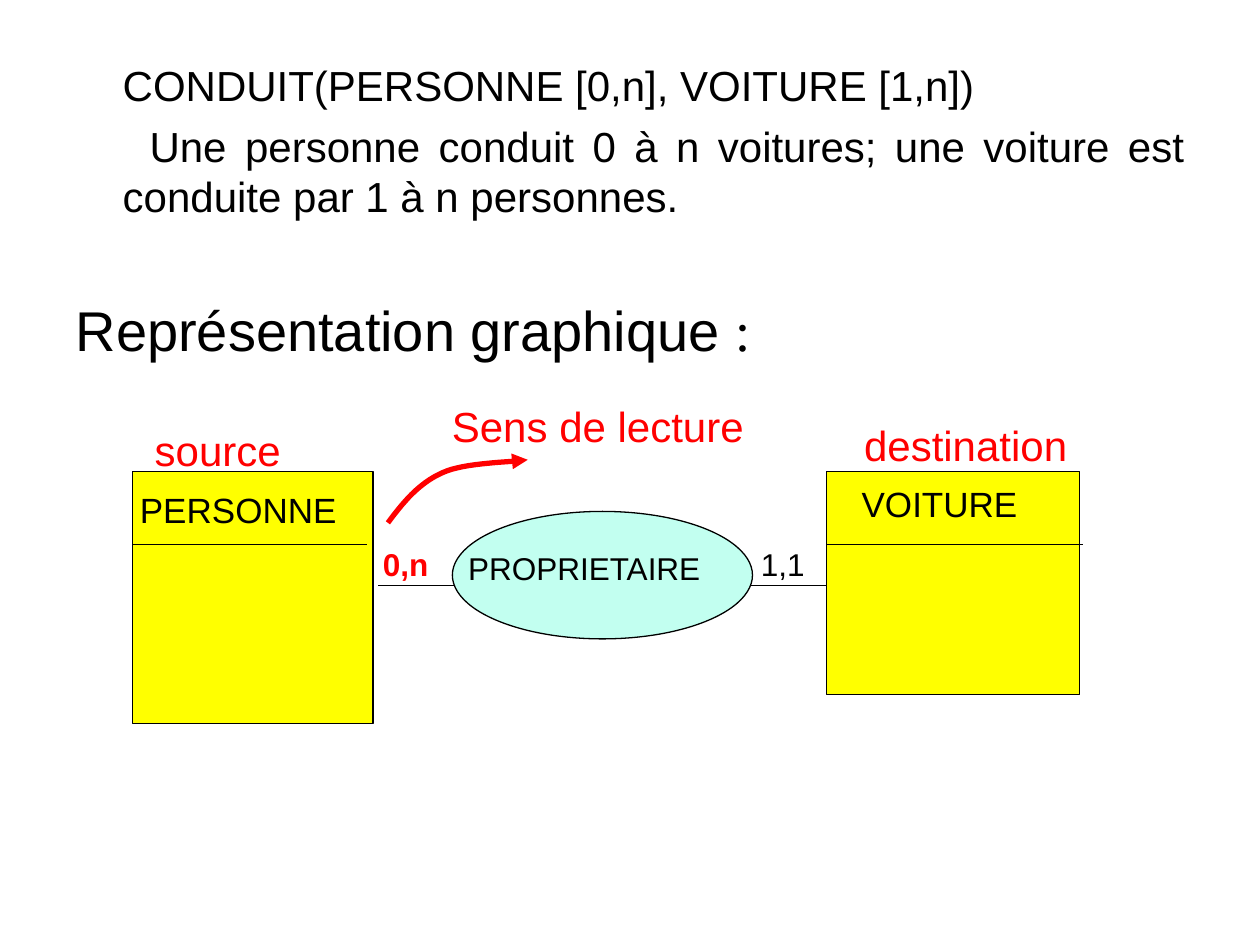
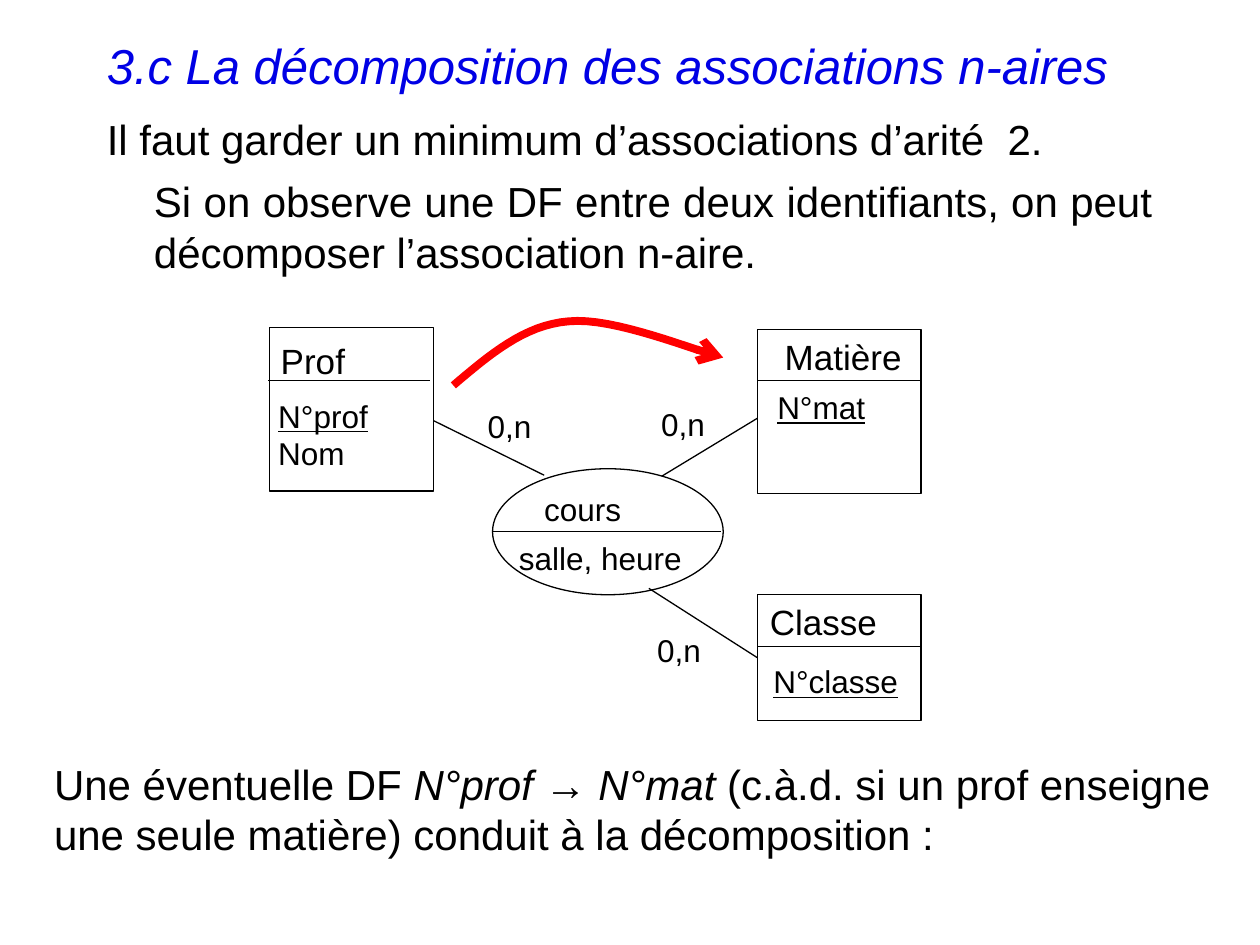
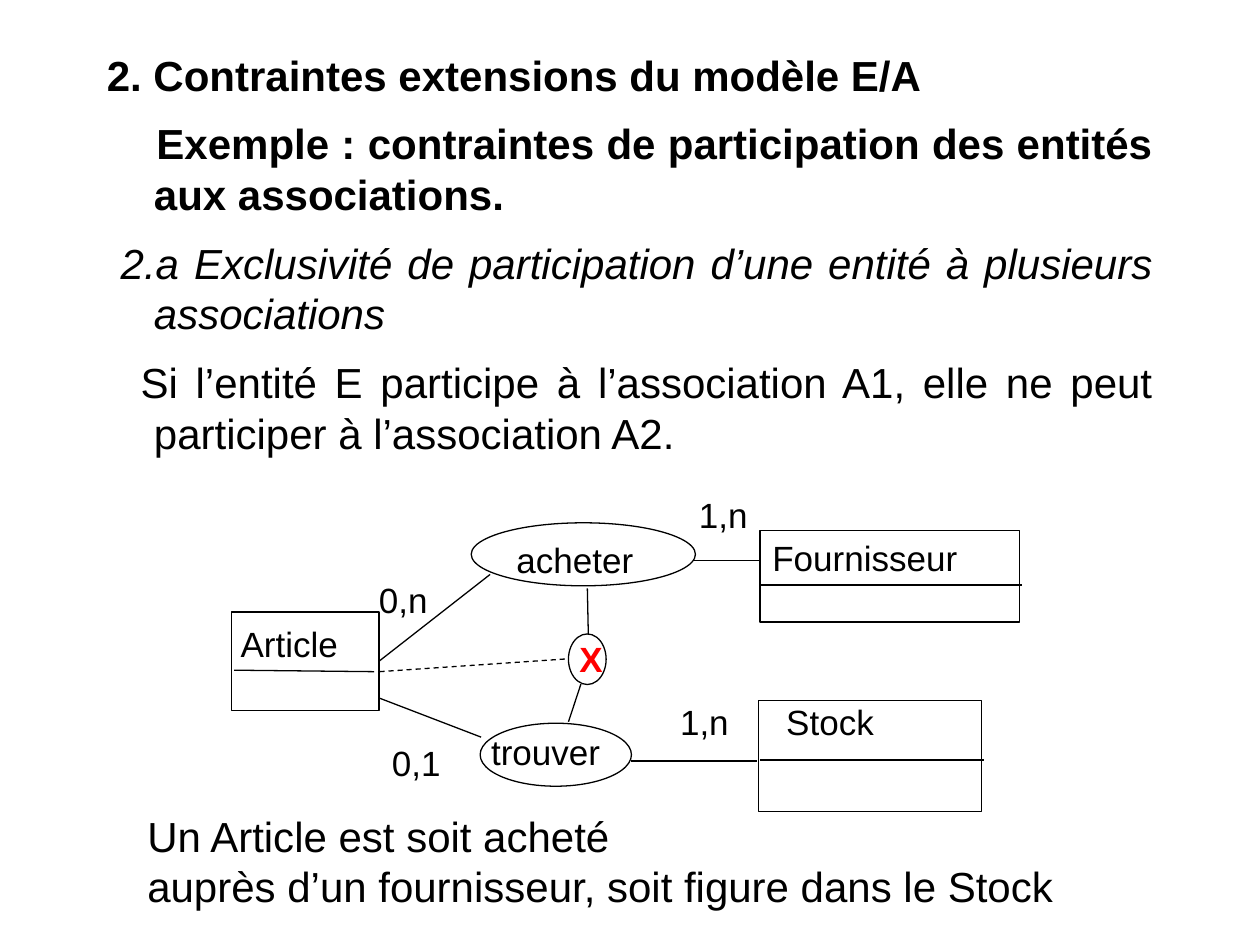
from lxml.etree import SubElement
from pptx import Presentation
from pptx.dml.color import RGBColor
from pptx.enum.dml import MSO_LINE_DASH_STYLE as Dash
from pptx.enum.shapes import MSO_CONNECTOR, MSO_SHAPE
from pptx.enum.text import MSO_ANCHOR as Anchor, MSO_AUTO_SIZE as AutoSize, PP_ALIGN as Align
from pptx.oxml.ns import qn
from pptx.util import Cm, Pt

BLACK, WHITE, RED, BLUE = "000000", "FFFFFF", "FF0000", "0000E5"
YELLOW, MINT = "FFFF00", "C2FFF0"
HANGING = 0.95
LABEL_HEIGHTS = {18: 1.02, 20: 1.12, 24: 1.27}
LABEL_SLACK = 0.25  # keeps each label on one line
CURVE_STEPS = 16


def color(value):
    return RGBColor.from_string(value)


def bezier(start, control_1, control_2, end):
    """Points along a cubic curve, without its start."""
    for step in range(1, CURVE_STEPS + 1):
        t = step / CURVE_STEPS
        weights = ((1 - t) ** 3, 3 * t * (1 - t) ** 2, 3 * t * t * (1 - t), t ** 3)
        corners = (start, control_1, control_2, end)
        yield tuple(Cm(sum(w * point[axis] for w, point in zip(weights, corners)))
                    for axis in (0, 1))


class Deck:
    """The presentation, its style and the slide being filled."""

    font_name = "Arial"
    line_width = 0.75

    def __init__(self):
        self.presentation = Presentation()
        self.presentation.slide_width = Cm(25.4)
        self.presentation.slide_height = Cm(19.05)
        self.slide = None

    def new_slide(self):
        layout = self.presentation.slide_layouts[1]
        self.slide = self.presentation.slides.add_slide(layout)

    def format_paragraph(self, paragraph, size, text_color=BLACK, bold=False,
                         italic=False, underline=False):
        font = paragraph.font
        font.name, font.size = self.font_name, Pt(size)
        font.bold, font.italic, font.underline = bold, italic, underline
        font.color.rgb = color(text_color)

    def place(self, placeholder, left, top, width, height):
        placeholder.left, placeholder.top = Cm(left), Cm(top)
        placeholder.width, placeholder.height = Cm(width), Cm(height)
        frame = placeholder.text_frame
        frame.auto_size = AutoSize.NONE
        frame.vertical_anchor = Anchor.TOP
        return frame

    def title(self, text, left, top, width, size, **style):
        frame = self.place(self.slide.shapes.title, left, top, width, 1.5)
        paragraph = frame.paragraphs[0]
        paragraph.text = text
        paragraph.alignment = Align.LEFT
        self.format_paragraph(paragraph, size, **style)
        return paragraph

    def body(self, left, top, width, height, items, space):
        """Each item is its text, its first-line indent and its font style."""
        frame = self.place(self.slide.placeholders[1], left, top, width, height)
        for index, (text, indent, style) in enumerate(items):
            paragraph = frame.add_paragraph() if index else frame.paragraphs[0]
            paragraph.text = text
            properties = paragraph._p.get_or_add_pPr()
            properties.set("marL", str(Cm(HANGING)))
            properties.set("indent", str(Cm(indent)))
            SubElement(properties, qn("a:buNone"))
            paragraph.alignment = Align.JUSTIFY
            paragraph.space_before = Pt(space if index else 0)
            self.format_paragraph(paragraph, 24, **style)

    def text(self, lines, left, top, width, height, size, **style):
        box = self.slide.shapes.add_textbox(Cm(left), Cm(top), Cm(width), Cm(height))
        frame = box.text_frame
        frame.word_wrap = True
        frame.auto_size = AutoSize.NONE
        for index, line in enumerate(lines):
            paragraph = frame.add_paragraph() if index else frame.paragraphs[0]
            paragraph.text = line
            self.format_paragraph(paragraph, size, **style)
        return frame

    def label(self, text, left, top, width, size=20, **style):
        self.text([text], left, top, width + LABEL_SLACK, LABEL_HEIGHTS[size], size, **style)

    def shape(self, kind, left, top, width, height, fill=WHITE, text=""):
        shape = self.slide.shapes.add_shape(kind, Cm(left), Cm(top), Cm(width), Cm(height))
        shape.shadow.inherit = False
        shape.fill.solid()
        shape.fill.fore_color.rgb = color(fill)
        self.stroke(shape.line)
        if text:
            frame = shape.text_frame
            frame.vertical_anchor = Anchor.TOP
            paragraph = frame.paragraphs[0]
            paragraph.text = text
            paragraph.alignment = Align.LEFT
            self.format_paragraph(paragraph, 20)
        return shape

    def entity(self, *box, **options):
        return self.shape(MSO_SHAPE.RECTANGLE, *box, **options)

    def association(self, *box, **options):
        return self.shape(MSO_SHAPE.OVAL, *box, **options)

    def stroke(self, line, line_color=BLACK, width=line_width):
        line.color.rgb = color(line_color)
        line.width = Pt(width)

    def line(self, x1, y1, x2, y2, dashed=False):
        connector = self.slide.shapes.add_connector(
            MSO_CONNECTOR.STRAIGHT, Cm(x1), Cm(y1), Cm(x2), Cm(y2))
        self.stroke(connector.line)
        if dashed:
            connector.line.dash_style = Dash.DASH
        SubElement(connector._element.spPr, qn("a:effectLst"))
        return connector

    def curved_arrow(self, points, width, head):
        """Red arrow through two cubic curves, given by seven points."""
        start_x, start_y = points[0]
        builder = self.slide.shapes.build_freeform(Cm(start_x), Cm(start_y))
        for first in (0, 3):
            builder.add_line_segments(bezier(*points[first:first + 4]), close=False)
        arrow = builder.convert_to_shape()
        arrow.shadow.inherit = False
        arrow.fill.background()
        self.stroke(arrow.line, RED, width)
        SubElement(arrow.line._get_or_add_ln(), qn("a:tailEnd"), type=head)


def graphic_representation(deck):
    deck.new_slide()
    deck.body(1.27, 1.07, 22.86, 4, [
        ("CONDUIT(PERSONNE [0,n], VOITURE [1,n])", 0, {}),
        ("Une personne conduit 0 à n voitures; une voiture est conduite "
         "par 1 à n personnes.", 0.54, {}),
    ], space=6)
    heading = deck.title("Représentation graphique", 1.27, 5.82, 22.86, 32)
    colon = heading.add_run()
    colon.text = " :"
    colon.font.name = "Times New Roman"

    deck.entity(2.67, 9.5, 4.85, 5.08, fill=YELLOW)
    deck.entity(16.66, 9.5, 5.11, 4.5, fill=YELLOW)
    deck.line(2.67, 10.97, 7.39, 10.97)
    deck.line(16.66, 10.97, 21.84, 10.97)
    deck.line(7.62, 11.81, 16.66, 11.81)
    deck.association(9.12, 10.31, 6.05, 2.57, fill=MINT)
    deck.label("PERSONNE", 2.57, 9.73, 4.47)
    deck.label("VOITURE", 17.12, 9.6, 3.63)
    deck.label("PROPRIETAIRE", 9.19, 10.95, 5.23, 18)
    deck.label("0,n", 7.47, 10.87, 1.42, 18, text_color=RED, bold=True)
    deck.label("1,1", 15.09, 10.87, 1.4, 18)
    deck.curved_arrow([(7.82, 10.54), (8.13, 10.13), (8.43, 9.75), (8.92, 9.53),
                       (9.37, 9.32), (10.34, 9.32), (10.64, 9.27)], 3, "triangle")
    for text, left, top, width in (("Sens de lecture", 8.86, 7.95, 6.38),
                                   ("source", 2.87, 8.43, 3.05),
                                   ("destination", 17.17, 8.33, 4.6)):
        deck.label(text, left, top, width, 24, text_color=RED)


def n_ary_decomposition(deck):
    deck.new_slide()
    deck.title("3.c La décomposition des associations n-aires", 1.9, 0.58, 21.59, 28,
               text_color=BLUE, italic=True)
    deck.body(1.9, 2.17, 21.59, 4, [
        ("Il faut garder un minimum d’associations d’arité  2.", -HANGING, {}),
        ("Si on observe une DF entre deux identifiants, on peut décomposer "
         "l’association n-aire.", 0, {}),
    ], space=6.5)
    conclusion = deck.text(["Une éventuelle DF "], 0.84, 15.16, 24, 2.29, 24).paragraphs[0]
    for text, italic in (("N°prof → N°mat", True),
                         (" (c.à.d. si un prof enseigne une seule matière) "
                          "conduit à la décomposition :", False)):
        run = conclusion.add_run()
        run.text = text
        run.font.italic = italic

    deck.entity(5.44, 6.6, 3.3, 3.3)
    deck.entity(15.27, 6.65, 3.3, 3.3)
    class_entity = deck.entity(15.27, 11.99, 3.3, 2.54, text="Classe")
    deck.line(5.41, 7.67, 8.66, 7.67)
    for y in (13.03, 7.67):
        deck.line(15.27, y, 18.57, y)
    deck.association(9.93, 9.45, 4.65, 2.54)
    deck.line(9.93, 10.72, 14.53, 10.72)
    deck.line(8.74, 8.48, 10.97, 9.58)
    deck.line(13.34, 9.6, 15.27, 8.43)
    deck.line(13.08, 11.86, 15.27, 13.26).end_connect(class_entity, 1)

    deck.label("Prof", 5.41, 6.71, 1.8)
    attributes = deck.text(["N°prof", "Nom"], 5.36, 7.87, 2.6, 1.78, 18)
    attributes.paragraphs[0].font.underline = True
    deck.label("Matière", 15.57, 6.63, 2.87)
    deck.label("N°mat", 15.42, 7.7, 2.26, 18, underline=True)
    deck.label("cours", 10.72, 9.75, 2.06, 18)
    deck.label("salle, heure", 10.21, 10.74, 3.78, 18)
    deck.label("N°classe", 15.34, 13.23, 3.02, 18, underline=True)
    deck.curved_arrow([(9.14, 7.77), (9.86, 7.16), (10.57, 6.55), (11.46, 6.48),
                       (12.37, 6.38), (14.05, 7.09), (14.58, 7.21)], 4.5, "arrow")
    for left, top in ((9.58, 8.08), (13.08, 8.05), (13, 12.6)):
        deck.label("0,n", left, top, 1.4, 18)


def participation_constraints(deck):
    deck.new_slide()
    deck.title("2. Contraintes extensions du modèle E/A", 1.9, 0.87, 21.59, 24, bold=True)
    deck.body(1.9, 2.25, 21.59, 7.5, [
        ("Exemple : contraintes de participation des entités aux associations.",
         0.05, {"bold": True}),
        ("2.a Exclusivité de participation d’une entité à plusieurs associations",
         -0.67, {"italic": True}),
        ("Si l’entité E participe à l’association A1, elle ne peut participer "
         "à l’association A2.", -0.27, {}),
    ], space=10.6)

    article = deck.entity(4.67, 12.34, 2.97, 1.98)
    deck.entity(15.29, 14.12, 4.5, 2.24)
    deck.entity(15.32, 10.69, 5.23, 1.85, text="Fournisseur")
    deck.line(4.72, 13.51, 7.54, 13.54)
    deck.line(15.32, 11.79, 20.6, 11.79)
    deck.line(15.32, 15.32, 19.84, 15.32)
    deck.association(9.5, 10.54, 4.52, 1.27, text="acheter")
    deck.association(9.68, 14.58, 3.05, 1.27)
    deck.line(7.64, 13.33, 9.88, 11.58).begin_connect(article, 3)
    deck.line(7.64, 14.07, 9.7, 14.86)
    deck.line(14, 11.3, 15.32, 11.3)
    deck.line(12.73, 15.34, 15.27, 15.34)

    deck.association(11.46, 12.78, 0.76, 1.02)
    deck.line(11.84, 11.86, 11.86, 12.8)
    deck.line(11.71, 13.79, 11.46, 14.55)
    deck.line(7.65, 13.54, 11.46, 13.28, dashed=True)
    deck.label("Article", 4.6, 12.42, 2.46)
    deck.label("Stock", 15.6, 14, 2.26)
    deck.label("trouver", 9.65, 14.6, 2.69)
    deck.label("X", 11.43, 12.73, 0.97, text_color=RED, bold=True)
    for text, left, top in (("1,n", 13.84, 9.83), ("0,n", 7.39, 11.53),
                            ("0,1", 7.65, 14.83), ("1,n", 13.46, 14)):
        deck.label(text, left, top, 1.75)
    deck.text(["Un Article est soit acheté",
               "auprès d’un fournisseur, soit figure dans le Stock"],
              2.72, 16.21, 20.55, 2.29, 24)


def main():
    deck = Deck()
    graphic_representation(deck)
    n_ary_decomposition(deck)
    participation_constraints(deck)
    deck.presentation.save("out.pptx")


if __name__ == "__main__":
    main()
